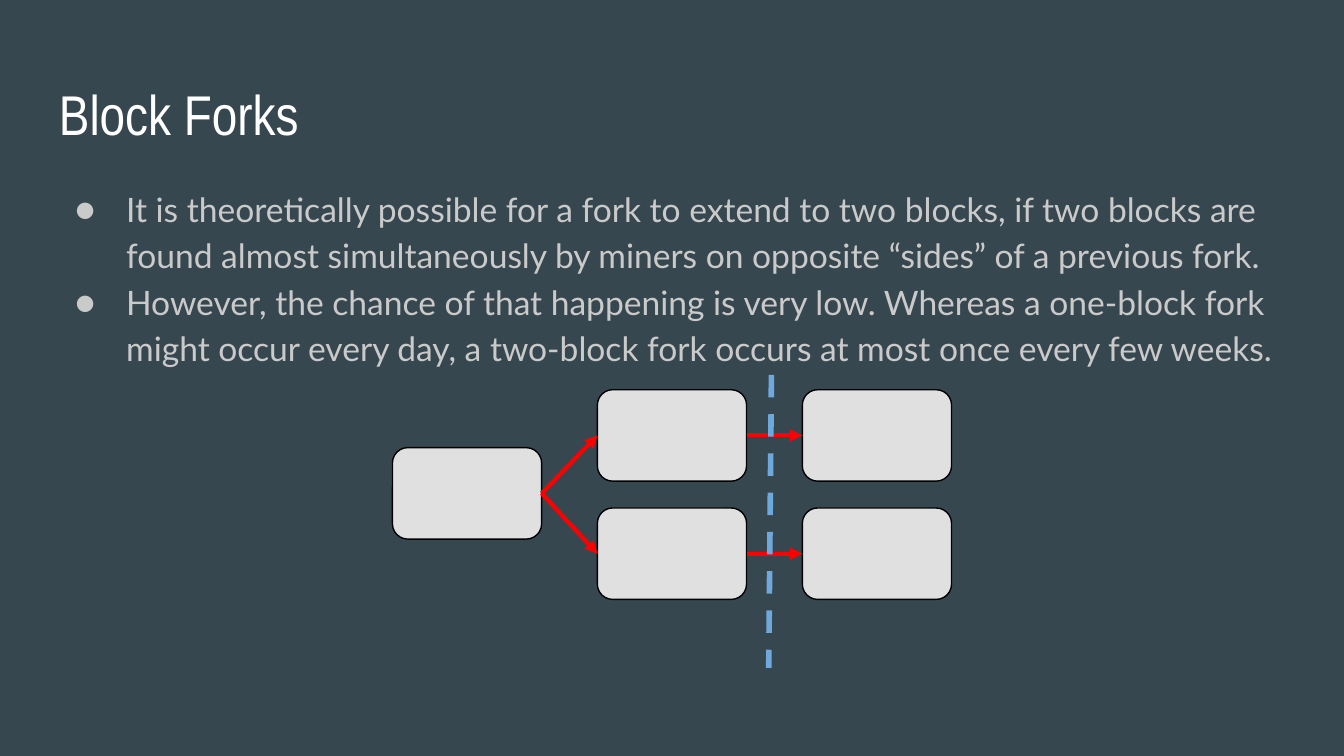
"""Build the "Block Forks" slide: two bullets above a diagram of a two-block fork."""
from lxml import etree
from pptx import Presentation, util as u
from pptx.dml.color import RGBColor
from pptx.enum import dml, shapes, text
from pptx.oxml.ns import qn

WHITE = RGBColor(0xFF, 0xFF, 0xFF)
BLACK = RGBColor(0, 0, 0)
SLATE = RGBColor(0x37, 0x47, 0x4F)
SILVER = RGBColor(0xCA, 0xCA, 0xCA)
PALE = RGBColor(0xE0, 0xE0, 0xE0)
RED = RGBColor(0xFF, 0, 0)
BLUE = RGBColor(0x6F, 0xA8, 0xDC)

TITLE = "Block Forks"
BULLETS = [
    "It is theoretically possible for a fork to extend to two blocks, if two blocks are "
    "found almost simultaneously by miners on opposite “sides” of a previous fork.",
    "However, the chance of that happening is very low. Whereas a one-block fork "
    "might occur every day, a two-block fork occurs at most once every few weeks.",
]
BLOCKS = {"root": (0, 0.49), "upper": (1, 0), "lower": (1, 1),
          "upper next": (2, 0), "lower next": (2, 1)}
LINKS = [("root", "upper"), ("root", "lower"),
         ("upper", "upper next"), ("lower", "lower next")]
DIVIDER = (5.74, 2.79, 5.72, 4.97)

SLIDE_WIDTH = u.Inches(10)
SLIDE_HEIGHT = SLIDE_WIDTH * 9 // 16
MARGIN, TEXT_WIDTH = 0.34, 9.32
GRID_LEFT, GRID_RIGHT, GRID_TOP = 2.92, 7.08, 2.9
BLOCK_WIDTH, BLOCK_HEIGHT = 1.11, 0.68
COLUMN = (GRID_RIGHT - GRID_LEFT - BLOCK_WIDTH) / 2
ROW = 0.88


def add_text(slide, top, height, paragraphs, font, size, color):
    box = slide.shapes.add_textbox(*map(u.Inches, (MARGIN, top, TEXT_WIDTH, height)))
    frame = box.text_frame
    frame.word_wrap = True
    frame.vertical_anchor = text.MSO_ANCHOR.TOP
    frame.margin_left = frame.margin_right = u.Inches(0.1)
    frame.margin_top = frame.margin_bottom = u.Inches(0.1)
    for i, words in enumerate(paragraphs):
        paragraph = frame.add_paragraph() if i else frame.paragraphs[0]
        run = paragraph.add_run()
        run.text = words
        run.font.name, run.font.size = font, u.Pt(size)
        run.font.color.rgb = color
    return frame.paragraphs


def add_bullet(paragraph, font, color):
    paragraph.line_spacing = 1.15
    props = paragraph._p.get_or_add_pPr()
    props.set("marL", str(u.Inches(0.5)))
    props.set("indent", str(u.Inches(-0.38)))
    bullet_color = etree.SubElement(props, qn("a:buClr"))
    etree.SubElement(bullet_color, qn("a:srgbClr"), val=str(color))
    etree.SubElement(props, qn("a:buFont"), typeface=font)
    etree.SubElement(props, qn("a:buChar"), char="●")


def add_block(diagram, column, row):
    place = (GRID_LEFT + column * COLUMN, GRID_TOP + row * ROW, BLOCK_WIDTH, BLOCK_HEIGHT)
    block = diagram.shapes.add_shape(
        shapes.MSO_SHAPE.ROUNDED_RECTANGLE, *map(u.Inches, place))
    block.shadow.inherit = False
    block.fill.solid()
    block.fill.fore_color.rgb = PALE
    block.line.color.rgb = BLACK
    block.line.width = u.Pt(0.75)
    return block


def add_line(parent, ends, color, width):
    line = parent.shapes.add_connector(
        shapes.MSO_CONNECTOR.STRAIGHT, *map(u.Inches, ends))
    line.line.color.rgb = color
    line.line.width = u.Pt(width)
    etree.SubElement(line._element.spPr, qn("a:effectLst"))
    return line


def main():
    deck = Presentation()
    deck.slide_width, deck.slide_height = SLIDE_WIDTH, SLIDE_HEIGHT
    slide = deck.slides.add_slide(deck.slide_layouts[6])
    slide.background.fill.solid()
    slide.background.fill.fore_color.rgb = SLATE

    add_text(slide, 0.49, 0.63, [TITLE], "Arial Narrow", 30, WHITE)
    for paragraph in add_text(slide, 1.26, 1.49, BULLETS, "Lato", 18, SILVER):
        add_bullet(paragraph, "Lato", SILVER)

    diagram = slide.shapes.add_group_shape()
    blocks = {name: add_block(diagram, *cell) for name, cell in BLOCKS.items()}
    for parent, child in LINKS:
        link = add_line(diagram, DIVIDER, RED, 2.25)
        link.begin_connect(blocks[parent], 3)
        link.end_connect(blocks[child], 1)
        etree.SubElement(link.line._get_or_add_ln(), qn("a:tailEnd"), type="triangle")
    divider = add_line(diagram, DIVIDER, BLUE, 3)
    divider.line.dash_style = dml.MSO_LINE.DASH

    deck.save("out.pptx")


if __name__ == "__main__":
    main()
